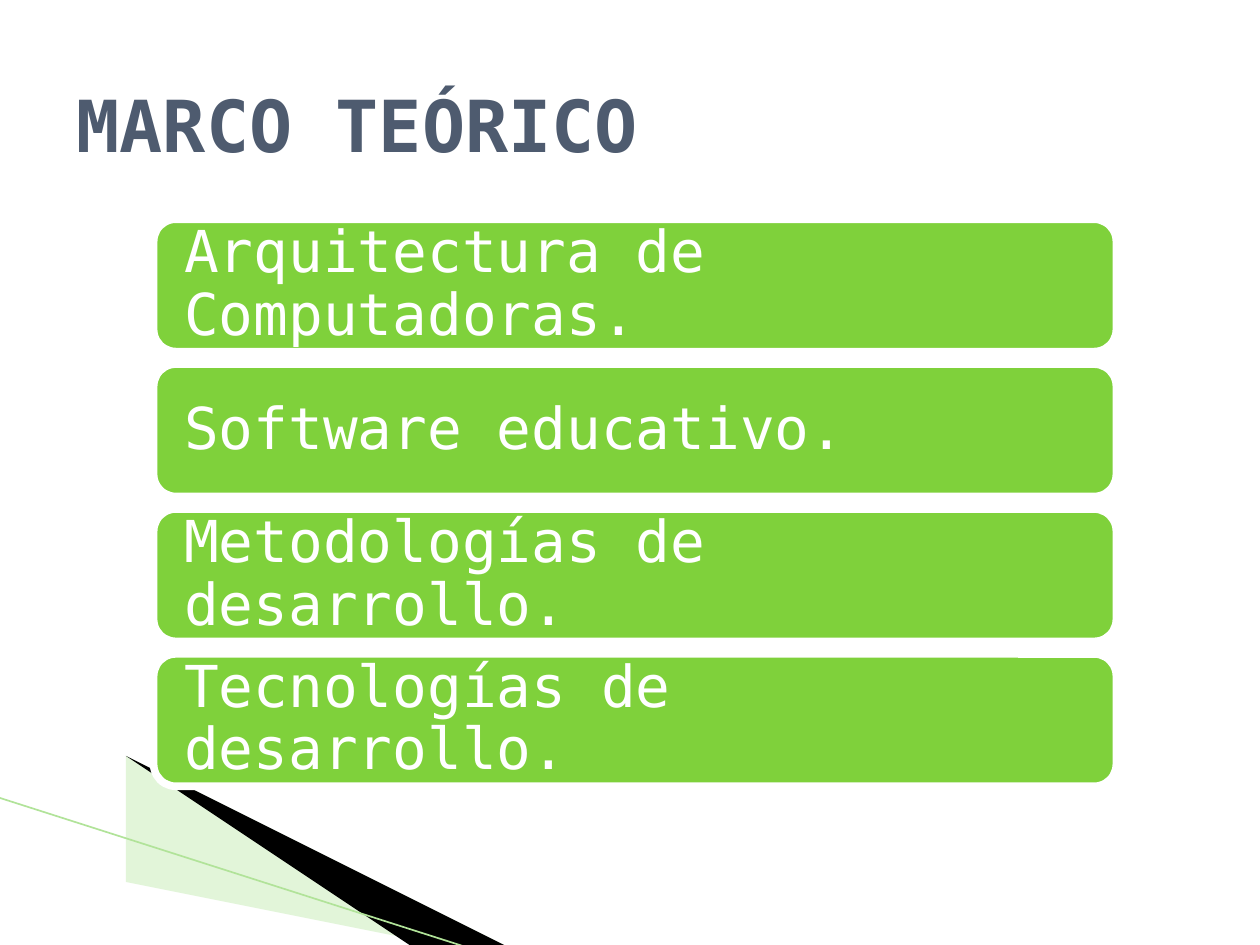
from pptx import Presentation
from pptx import util as u
from pptx.dml.color import RGBColor
from pptx.enum import shapes, text
from pptx.oxml.ns import qn
from lxml import etree


class Deck:
    """Style and current slide, with a method for each kind of element."""

    font = "DejaVu Sans Mono"
    hues = {
        "green": "7FD13B",
        "pale": "B8E7A1",
        "edge": "B1E399",
        "slate": "4E5B6F",
        "black": "000000",
        "white": "FFFFFF",
    }

    def __init__(self, slide):
        self.slide = slide

    def hue(self, name):
        return RGBColor.from_string(self.hues[name])

    def label(self, shape, words, size, hue, inset=0.1, bold=False, space=1.0):
        frame = shape.text_frame
        frame.word_wrap = True
        frame.vertical_anchor = text.MSO_ANCHOR.MIDDLE
        frame.margin_left = frame.margin_right = u.Inches(inset)
        frame.text = words
        line = frame.paragraphs[0]
        line.alignment = text.PP_ALIGN.LEFT
        line.line_spacing = space
        line.font.name = self.font
        line.font.size = u.Pt(size)
        line.font.bold = bold
        line.font.color.rgb = self.hue(hue)

    def title(self, words, *box):
        shape = self.slide.shapes.add_textbox(*map(u.Inches, box))
        self.label(shape, words, 41, "slate", bold=True)

    def bar(self, words, *box):
        shape = self.slide.shapes.add_shape(
            shapes.MSO_SHAPE.ROUNDED_RECTANGLE, *map(u.Inches, box))
        shape.shadow.inherit = False
        shape.fill.solid()
        shape.fill.fore_color.rgb = self.hue("green")
        shape.line.color.rgb = self.hue("white")
        shape.line.width = u.Pt(4.33)
        self.label(shape, words, 33, "white", inset=0.19, space=0.9)

    def wedge(self, hue, points, alpha=100):
        form = self.slide.shapes.build_freeform(*points[0], scale=u.Inches(1))
        form.add_line_segments(points[1:], close=True)
        shape = form.convert_to_shape()
        shape.shadow.inherit = False
        shape.fill.solid()
        shape.fill.fore_color.rgb = self.hue(hue)
        shape.line.fill.background()
        if alpha < 100:
            color = shape.element.spPr.find(".//" + qn("a:srgbClr"))
            etree.SubElement(color, qn("a:alpha"), val=str(alpha * 1000))

    def rule(self, hue, width, *ends):
        line = self.slide.shapes.add_connector(
            shapes.MSO_CONNECTOR.STRAIGHT, *map(u.Inches, ends))
        line.line.color.rgb = self.hue(hue)
        line.line.width = u.Pt(width)
        etree.SubElement(line._element.spPr, qn("a:effectLst"))


def main():
    show = Presentation()
    show.slide_width, show.slide_height = u.Inches(10), u.Inches(7.5)
    deck = Deck(show.slides.add_slide(show.slide_layouts[6]))

    deck.wedge("pale", [(0.55, 6.51), (5.95, 7.51), (4.56, 7.51), (0.55, 6.5)], alpha=40)
    deck.wedge("black", [(0.53, 6.49), (4.57, 7.51), (3.72, 7.52), (0.54, 6.5)])
    deck.rule("edge", 0.95, -0.01, 6.33, 3.71, 7.52)
    deck.title("MARCO TEÓRICO", 0.51, 0.36, 9, 1.25)

    topics = [
        "Arquitectura de Computadoras.",
        "Software educativo.",
        "Metodologías de desarrollo.",
        "Tecnologías de desarrollo.",
    ]
    top, step = 1.74, 1.15
    for i, topic in enumerate(topics):
        deck.bar(topic, 1.22, top + i * step, 7.64, 1.05)

    show.save("out.pptx")


if __name__ == "__main__":
    main()
